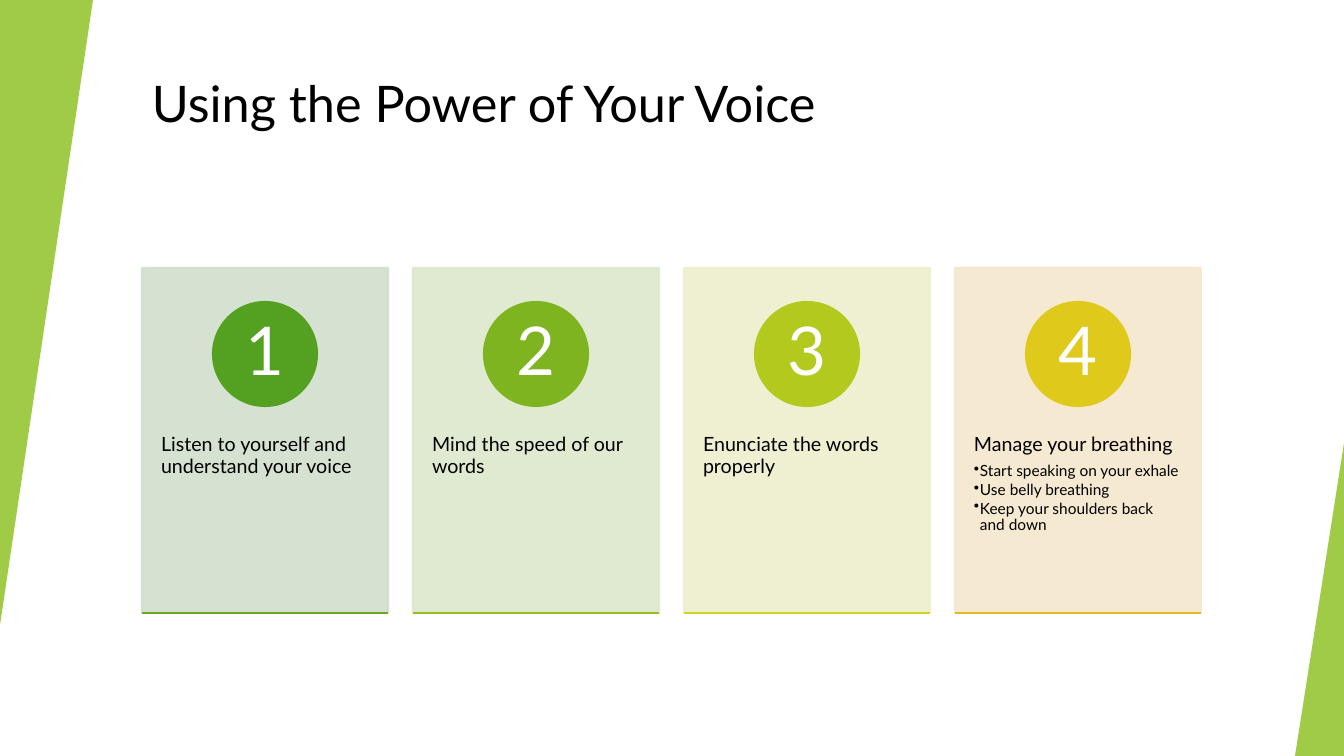
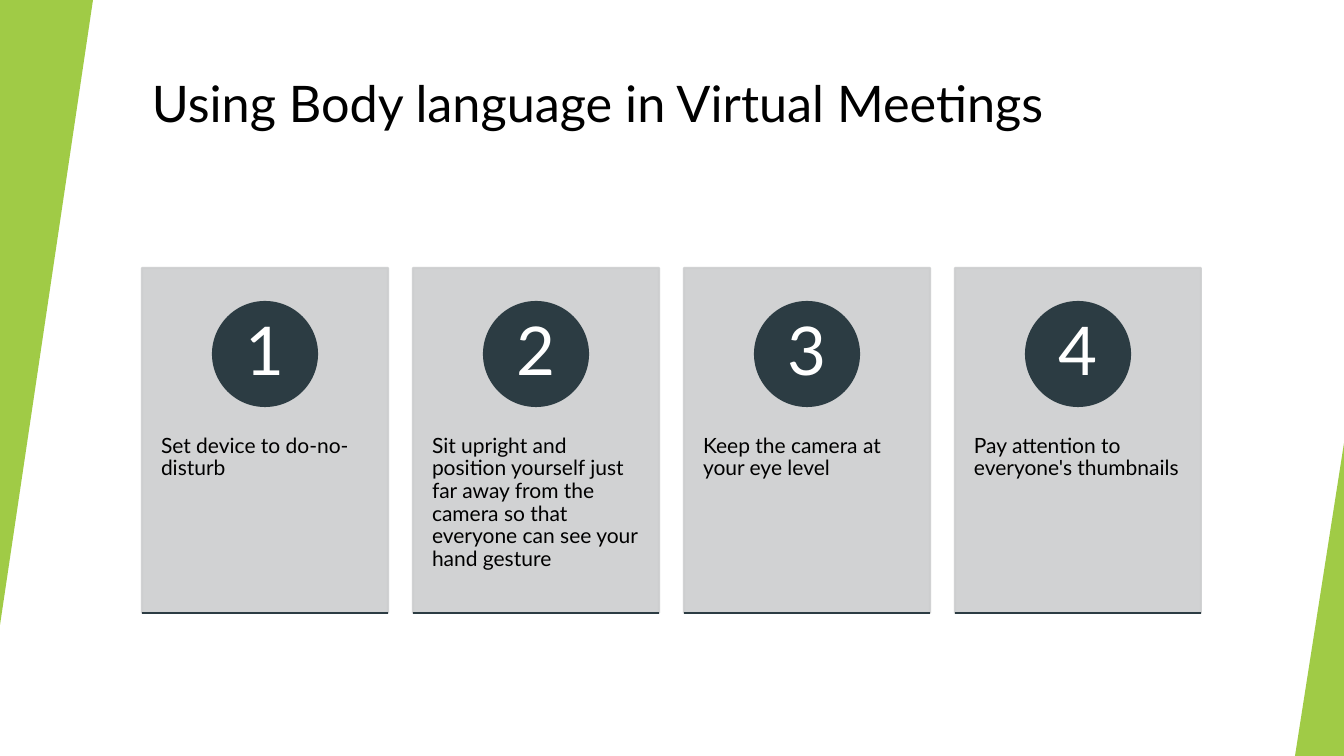
from dataclasses import dataclass

from lxml.etree import SubElement
from pptx import Presentation
from pptx.dml.color import RGBColor
from pptx.enum.shapes import MSO_CONNECTOR, MSO_SHAPE
from pptx.enum.text import MSO_ANCHOR, MSO_AUTO_SIZE, PP_ALIGN
from pptx.oxml.ns import qn
from pptx.util import Emu, Pt

SLIDE_W, SLIDE_H = 1344, 756
SCALE = 12192000 / SLIDE_W
CARD_X, CARD_Y, CARD_W, CARD_H, CARD_PITCH = 142, 268, 246, 345, 271
BODY_Y, BODY_H = 399, 207
CIRCLE_Y, CIRCLE_D = 302, 104


@dataclass(frozen=True)
class Theme:
    """Colours, font and type sizes shared by the slides."""
    font: str = "Lato"
    ink: str = "000000"
    paper: str = "FFFFFF"
    band: str = "90C226"
    band_alpha: int = 85
    card_alpha: int = 90
    title_size: int = 36
    number_size: int = 48
    detail_size: int = 11
    line_width: float = 1.5


THEME = Theme()

# Card colours: panel, circle, rule
GREENS = [
    ("D1DFCD", "54A021", "68AA21"),
    ("DCE8CC", "7EB420", "97BF1F"),
    ("EEEFCC", "B3C91E", "D2D41D"),
    ("F5E7CD", "DFCA1C", "E6B91E"),
]
SLATE = [("CDCECF", "2C3C43", "2C3C43")] * 4

SLIDES = [
    {
        "title": "Using the Power of Your Voice",
        "colors": GREENS,
        "size": 14,
        "cards": [
            ("Listen to yourself and understand your voice", []),
            ("Mind the speed of our words", []),
            ("Enunciate the words properly", []),
            ("Manage your breathing", [
                "Start speaking on your exhale",
                "Use belly breathing",
                "Keep your shoulders back and down",
            ]),
        ],
    },
    {
        "title": "Using Body language in Virtual Meetings",
        "colors": SLATE,
        "size": 15,
        "cards": [
            ("Set device to do-no-disturb", []),
            ("Sit upright and position yourself just far away from the camera "
             "so that everyone can see your hand gesture", []),
            ("Keep the camera at your eye level", []),
            ("Pay attention to everyone's thumbnails", []),
        ],
    },
]


def px(n):
    """Turn pixels into EMU."""
    return Emu(round(n * SCALE))


def set_all(obj, values):
    """Set each named attribute of an object."""
    for name, value in values.items():
        setattr(obj, name, value)


def paint(fill, color, alpha=100):
    """Give a fill one solid colour, with opacity in percent."""
    fill.solid()
    fill.fore_color.rgb = RGBColor.from_string(color)
    if alpha < 100:
        for clr in fill._xPr.iter(qn("a:srgbClr")):
            SubElement(clr, qn("a:alpha"), val=str(alpha * 1000))


def add_box(slide, kind, box, color, alpha=100, outline=True):
    """Add a preset shape whose outline matches its fill."""
    sp = slide.shapes.add_shape(kind, *map(px, box))
    sp.shadow.inherit = False
    paint(sp.fill, color, alpha)
    if outline:
        sp.line.width = Pt(THEME.line_width)
        paint(sp.line.fill, color, alpha)
    else:
        sp.line.fill.background()
    return sp


def add_rule(slide, x, y, width, color):
    """Add a horizontal line."""
    line = slide.shapes.add_connector(
        MSO_CONNECTOR.STRAIGHT, px(x), px(y), px(x + width), px(y))
    line.line.width = Pt(THEME.line_width)
    paint(line.line.fill, color)
    SubElement(line._element.spPr, qn("a:effectLst"))


def set_frame(tf, anchor, margins):
    """Set wrapping, anchor and left, top, right, bottom margins."""
    left, top, right, bottom = map(px, margins)
    set_all(tf, {
        "word_wrap": True, "auto_size": MSO_AUTO_SIZE.NONE,
        "vertical_anchor": anchor, "margin_left": left, "margin_top": top,
        "margin_right": right, "margin_bottom": bottom,
    })


def write(p, text, size, color=THEME.ink, **formats):
    """Write one run and format its paragraph."""
    r = p.add_run()
    r.text = text
    set_all(r.font, {"name": THEME.font, "size": Pt(size)})
    r.font.color.rgb = RGBColor.from_string(color)
    set_all(p, formats)


def add_bullet(p):
    """Give a paragraph a hanging bullet."""
    pPr = p._p.get_or_add_pPr()
    pPr.set("marL", str(px(6)))
    pPr.set("indent", str(-px(6)))
    SubElement(pPr, qn("a:buChar"), char="•")


def add_title(slide, text):
    """Place and format the title placeholder."""
    sp = slide.shapes.title
    set_all(sp, {"left": px(142), "top": px(67),
                 "width": px(1124), "height": px(121)})
    set_frame(sp.text_frame, MSO_ANCHOR.TOP, (10, 5, 10, 5))
    write(sp.text_frame.paragraphs[0], text, THEME.title_size,
          alignment=PP_ALIGN.LEFT)


def add_bands(slide):
    """Add the slanted bands at both edges."""
    for box, rotation in (((0, 0, 93, 625), 180),
                          ((1295, 443, 49, 313), 0)):
        sp = add_box(slide, MSO_SHAPE.ISOSCELES_TRIANGLE, box, THEME.band,
                     THEME.band_alpha, outline=False)
        sp.adjustments[0] = 1
        sp.rotation = rotation


def add_body(slide, x, heading, details, size):
    """Add the heading and bullets of a card."""
    tf = slide.shapes.add_textbox(
        *map(px, (x, BODY_Y, CARD_W, BODY_H))).text_frame
    set_frame(tf, MSO_ANCHOR.TOP, (19, 36, 19, 36))
    write(tf.paragraphs[0], heading, size, line_spacing=0.9,
          space_after=Pt(5))
    for detail in details:
        p = tf.add_paragraph()
        write(p, detail, THEME.detail_size, line_spacing=0.9,
              space_after=Pt(1.6))
        add_bullet(p)


def add_card(slide, index, card, colors, size):
    """Add a numbered card in its column."""
    panel, circle, rule = colors
    x = CARD_X + index * CARD_PITCH
    add_box(slide, MSO_SHAPE.RECTANGLE, (x, CARD_Y, CARD_W, CARD_H),
            panel, THEME.card_alpha)
    add_body(slide, x, *card, size)
    sp = add_box(slide, MSO_SHAPE.OVAL,
                 (x + (CARD_W - CIRCLE_D) / 2, CIRCLE_Y, CIRCLE_D, CIRCLE_D),
                 circle)
    set_frame(sp.text_frame, MSO_ANCHOR.MIDDLE, (8, 1, 8, 1))
    write(sp.text_frame.paragraphs[0], str(index + 1), THEME.number_size,
          THEME.paper, alignment=PP_ALIGN.CENTER, line_spacing=0.9)
    add_rule(slide, x, CARD_Y + CARD_H, CARD_W, rule)


def add_slide(prs, content):
    """Build one slide of numbered cards."""
    slide = prs.slides.add_slide(prs.slide_layouts.get_by_name("Title Only"))
    paint(slide.background.fill, THEME.paper)
    add_title(slide, content["title"])
    add_bands(slide)
    for i, (card, colors) in enumerate(
            zip(content["cards"], content["colors"])):
        add_card(slide, i, card, colors, content["size"])


def main():
    """Build and save the presentation."""
    prs = Presentation()
    set_all(prs, {"slide_width": px(SLIDE_W), "slide_height": px(SLIDE_H)})
    for content in SLIDES:
        add_slide(prs, content)
    prs.save("out.pptx")


main()
